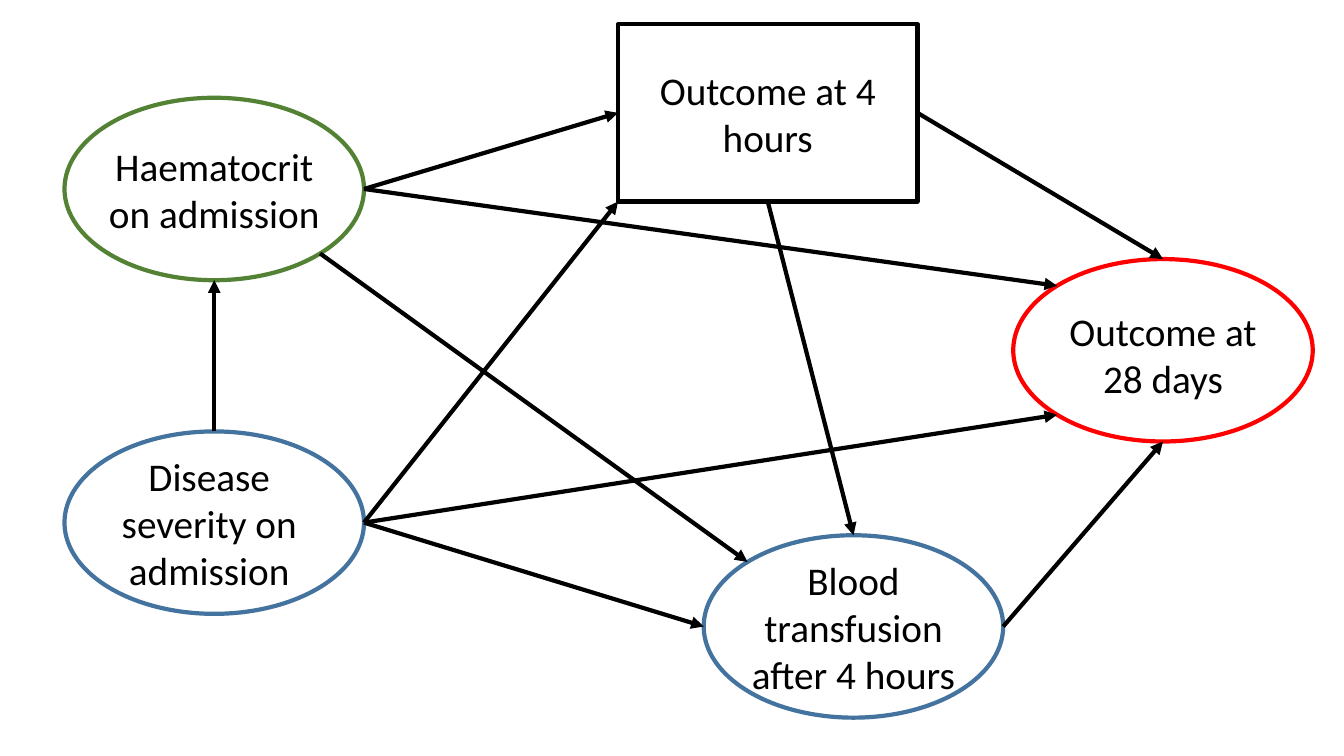
from lxml import etree
from pptx import Presentation
from pptx.dml.color import RGBColor
from pptx.enum.shapes import MSO_CONNECTOR, MSO_SHAPE
from pptx.enum.text import MSO_ANCHOR, PP_ALIGN
from pptx.oxml.ns import qn
from pptx.util import Inches, Pt

OVAL, RECTANGLE = MSO_SHAPE.OVAL, MSO_SHAPE.RECTANGLE
STRAIGHT = MSO_CONNECTOR.STRAIGHT
CENTER, MIDDLE = PP_ALIGN.CENTER, MSO_ANCHOR.MIDDLE

THEME = {"font": "Calibri", "size": 28, "line": 3, "ink": "000000",
         "exposure": "548235", "factor": "43739E", "outcome": "FF0000"}
NODE_WIDTH, OVAL_HEIGHT, BOX_HEIGHT = 2.97, 1.81, 1.76
LABEL_WIDTH, LINE_HEIGHT, LABEL_PADDING = 2.36, 0.47, 0.1

# Content: name -> label, lines, outline, preset, left, top, label shift (x, y)
NODES = {
    "haematocrit": ("Haematocrit on admission", 2, "exposure", OVAL, 0.64, 0.97, (0, 0)),
    "severity": ("Disease severity on admission", 3, "factor", OVAL, 0.64, 4.28, (-0.05, 0)),
    "outcome 4h": ("Outcome at 4 hours", 2, "ink", RECTANGLE, 6.13, 0.24, (0, 0)),
    "outcome 28d": ("Outcome at 28 days", 2, "outcome", OVAL, 10.05, 2.57, (0, 0.04)),
    "transfusion": ("Blood transfusion after 4 hours", 3, "factor", OVAL, 6.98, 5.31, (0, 0)),
}
ARROWS = [
    ("haematocrit", "right", "outcome 4h", "left"),
    ("severity", "right", "outcome 4h", "corner"),
    ("haematocrit", "right", "outcome 28d", "top left"),
    ("outcome 4h", "right", "outcome 28d", "top"),
    ("severity", "right", "outcome 28d", "bottom left"),
    ("transfusion", "right", "outcome 28d", "bottom"),
    ("haematocrit", "bottom right", "transfusion", "top left"),
    ("severity", "right", "transfusion", "left"),
    ("outcome 4h", "bottom", "transfusion", "top"),
    ("severity", "top", "haematocrit", "bottom"),
]

# Attachment points as shares of a node's size, with the preset's site number
NEAR = (1 - 0.5 ** 0.5) / 2
FAR = 1 - NEAR
SITES = {
    OVAL: {"top": (0.5, 0, 0), "top left": (NEAR, NEAR, 1), "left": (0, 0.5, 2),
           "bottom left": (NEAR, FAR, 3), "bottom": (0.5, 1, 4),
           "bottom right": (FAR, FAR, 5), "right": (1, 0.5, 6)},
    RECTANGLE: {"top": (0.5, 0, 0), "left": (0, 0.5, 1), "bottom": (0.5, 1, 2),
                "right": (1, 0.5, 3), "corner": (0, 1, None)},
}


def color(name):
    return RGBColor.from_string(THEME[name])


def set_line(shape, name):
    shape.line.color.rgb = color(name)
    shape.line.width = Pt(THEME["line"])


def add_node(page, label, lines, outline, preset, left, top, shift):
    height = OVAL_HEIGHT if preset == OVAL else BOX_HEIGHT
    node = page.shapes.add_shape(
        preset, Inches(left), Inches(top), Inches(NODE_WIDTH), Inches(height))
    node.shadow.inherit = False
    node.fill.background()
    set_line(node, outline)

    label_height = lines * LINE_HEIGHT + LABEL_PADDING
    box = page.shapes.add_textbox(
        Inches(left + (NODE_WIDTH - LABEL_WIDTH) / 2 + shift[0]),
        Inches(top + (height - label_height) / 2 + shift[1]),
        Inches(LABEL_WIDTH), Inches(label_height))
    frame = box.text_frame
    for key, value in {"word_wrap": True, "vertical_anchor": MIDDLE}.items():
        setattr(frame, key, value)
    para = frame.paragraphs[0]
    para.alignment = CENTER
    span = para.add_run()
    span.text = label
    for key, value in {"name": THEME["font"], "size": Pt(THEME["size"])}.items():
        setattr(span.font, key, value)
    span.font.color.rgb = color("ink")
    return node


def attachment(node, side):
    share_x, share_y, site = SITES[node.auto_shape_type][side]
    return (int(node.left + share_x * node.width),
            int(node.top + share_y * node.height), site)


def add_arrow(page, source, source_side, target, target_side):
    start_x, start_y, start_site = attachment(source, source_side)
    end_x, end_y, end_site = attachment(target, target_side)
    arrow = page.shapes.add_connector(STRAIGHT, start_x, start_y, end_x, end_y)
    set_line(arrow, "ink")
    etree.SubElement(arrow.line._get_or_add_ln(), qn("a:tailEnd"), type="triangle")
    etree.SubElement(arrow._element.spPr, qn("a:effectLst"))
    # Glue the ends so that arrows follow their nodes
    links = arrow._element.find(".//" + qn("p:cNvCxnSpPr"))
    for tag, node, site in (("a:stCxn", source, start_site), ("a:endCxn", target, end_site)):
        if site is not None:
            etree.SubElement(links, qn(tag), id=str(node.shape_id), idx=str(site))


deck = Presentation()
deck.slide_width, deck.slide_height = Inches(13.33), Inches(7.5)
page = deck.slides.add_slide(deck.slide_layouts[6])

# Nodes first, then the arrows between them
nodes = {name: add_node(page, *details) for name, details in NODES.items()}
for source, source_side, target, target_side in ARROWS:
    add_arrow(page, nodes[source], source_side, nodes[target], target_side)

deck.save("out.pptx")
